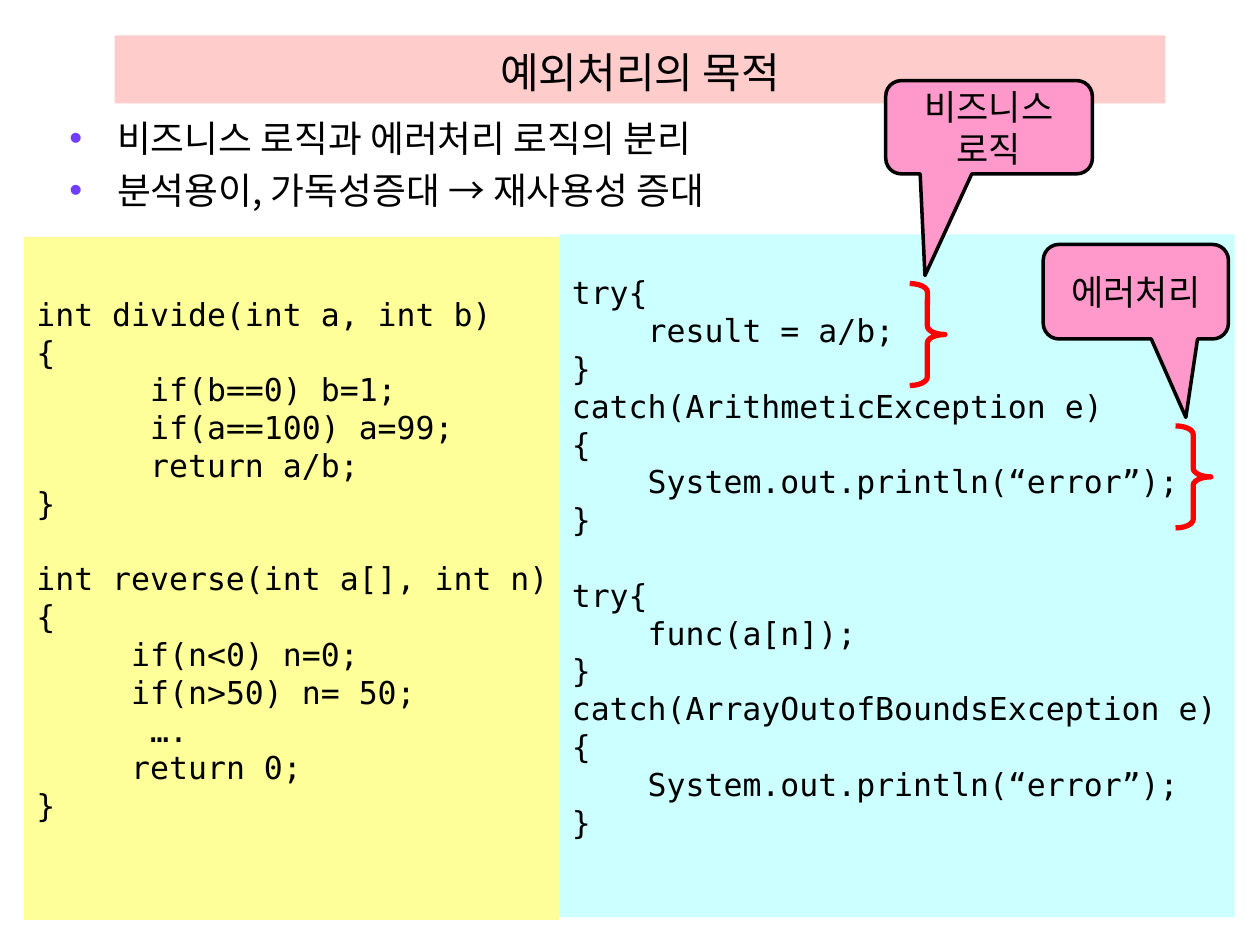
from lxml import etree
from pptx import Presentation
from pptx.dml.color import RGBColor
from pptx.enum.shapes import MSO_SHAPE
from pptx.enum.text import MSO_ANCHOR, MSO_AUTO_SIZE, PP_ALIGN
from pptx.oxml.ns import qn
from pptx.util import Inches, Pt

RECTANGLE = MSO_SHAPE.RECTANGLE
CALLOUT = MSO_SHAPE.ROUNDED_RECTANGULAR_CALLOUT
BRACE = MSO_SHAPE.RIGHT_BRACE
MIDDLE, BOTTOM = MSO_ANCHOR.MIDDLE, MSO_ANCHOR.BOTTOM
LEFT, CENTER = PP_ALIGN.LEFT, PP_ALIGN.CENTER

BLACK = RGBColor(0x00, 0x00, 0x00)
RED = RGBColor(0xFF, 0x00, 0x00)
ROSE = RGBColor(0xFF, 0xCC, 0xCC)
PINK = RGBColor(0xFF, 0x99, 0xCC)
YELLOW = RGBColor(0xFF, 0xFF, 0x99)
CYAN = RGBColor(0xCC, 0xFF, 0xFF)
VIOLET = RGBColor(0x70, 0x3D, 0xFF)

SANS, MONO = "Noto Sans CJK KR", "DejaVu Sans Mono"
CODE_SIZE = 18
CODE_LINE = 21.6   # height of one code line, points
CODE_CHAR = 10.84  # width of one code character, points

# Each block is a list of (indent in characters, code)
DEFENSIVE_CODE = [
    [(0, "int divide(int a, int b)"), (0, "{"), (6, "if(b==0) b=1;"),
     (6, "if(a==100) a=99;"), (6, "return a/b;"), (0, "}")],
    [(0, "int reverse(int a[], int n)"), (0, "{"), (5, "if(n<0) n=0;"),
     (5, "if(n>50) n= 50;"), (6, "…."), (5, "return 0;"), (0, "}")],
]


def try_block(action, exception):
    return [(0, "try{"), (4, action), (0, "}"), (0, f"catch({exception} e)"),
            (0, "{"), (4, "System.out.println(“error”);"), (0, "}")]


EXCEPTION_CODE = [
    try_block("result = a/b;", "ArithmeticException"),
    try_block("func(a[n]);", "ArrayOutofBoundsException"),
]


def place(shape, box):
    shape.left, shape.top, shape.width, shape.height = map(Inches, box)


def add_span(para, text, size, font):
    span = para.add_run()
    span.text = text
    span.font.size = Pt(size)
    span.font.name = font
    span.font.color.rgb = BLACK
    east_asian = etree.SubElement(span._r.get_or_add_rPr(), qn("a:ea"))
    east_asian.set("typeface", SANS if font == SANS else MONO)


def next_para(frame, index):
    return frame.paragraphs[0] if index == 0 else frame.add_paragraph()


def add_plain_shape(page, kind, box, fill=None, line=None, width=0):
    shape = page.shapes.add_shape(kind, *map(Inches, box))
    shape.shadow.inherit = False
    if fill is None:
        shape.fill.background()
    else:
        shape.fill.solid()
        shape.fill.fore_color.rgb = fill
    if line is None:
        shape.line.fill.background()
    else:
        shape.line.color.rgb = line
        shape.line.width = Pt(width)
    return shape


def fill_title(title, box, text):
    place(title, box)
    title.fill.solid()
    title.fill.fore_color.rgb = ROSE
    frame = title.text_frame
    frame.auto_size = MSO_AUTO_SIZE.NONE
    frame.vertical_anchor = BOTTOM
    para = frame.paragraphs[0]
    para.alignment = CENTER
    add_span(para, text, 24, SANS)


def fill_bullets(body, box, lines):
    place(body, box)
    body.text_frame.auto_size = MSO_AUTO_SIZE.NONE
    for index, text in enumerate(lines):
        para = next_para(body.text_frame, index)
        para.space_before = Pt(4.2)
        props = para._p.get_or_add_pPr()
        props.set("marL", str(Inches(0.38)))
        props.set("indent", str(-Inches(0.38)))
        color = etree.SubElement(props, qn("a:buClr"))
        etree.SubElement(color, qn("a:srgbClr")).set("val", str(VIOLET))
        etree.SubElement(props, qn("a:buChar")).set("char", "•")
        add_span(para, text, 21, SANS)


def add_code_panel(page, box, fill, blocks):
    frame = add_plain_shape(page, RECTANGLE, box, fill).text_frame
    frame.word_wrap = False
    frame.vertical_anchor = MIDDLE
    # The code sits half a line above the middle
    frame.margin_bottom = Inches(0.05) + Pt(CODE_LINE)
    index = 0
    for block in blocks:
        for row, (indent, code) in enumerate(block):
            para = next_para(frame, index)
            para.alignment = LEFT
            if row == 0 and index > 0:
                para.space_before = Pt(CODE_LINE)
            if indent:
                props = para._p.get_or_add_pPr()
                props.set("marL", str(Pt(indent * CODE_CHAR)))
                props.set("indent", "0")
            add_span(para, code, CODE_SIZE, MONO)
            index += 1


def add_brace(page, left, top):
    brace = add_plain_shape(page, BRACE, (left, top, 0.28, 0.81), None, RED, 3)
    brace.adjustments[0] = 0.24


def add_callout(page, box, tip, lines):
    """Place a callout whose tip is given as shares of its size from its centre."""
    callout = add_plain_shape(page, CALLOUT, box, PINK, BLACK, 2)
    callout.adjustments[0], callout.adjustments[1] = tip
    frame = callout.text_frame
    frame.word_wrap = True
    frame.vertical_anchor = MIDDLE
    for index, text in enumerate(lines):
        para = next_para(frame, index)
        para.alignment = CENTER
        add_span(para, text, 20, MONO)


def main():
    deck = Presentation()
    deck.slide_width, deck.slide_height = Inches(10), Inches(7.5)
    page = deck.slides.add_slide(deck.slide_layouts[1])

    # Heading and key points
    fill_title(page.shapes.title, (0.91, 0.28, 8.34, 0.54), "예외처리의 목적")
    fill_bullets(page.placeholders[1], (0.45, 0.87, 9.22, 6.28),
                 ["비즈니스 로직과 에러처리 로직의 분리",
                  "분석용이, 가독성증대 → 재사용성 증대"])

    # Code before and after
    add_code_panel(page, (0.19, 1.88, 4.25, 5.42), YELLOW, DEFENSIVE_CODE)
    add_code_panel(page, (4.44, 1.86, 5.36, 5.42), CYAN, EXCEPTION_CODE)

    # Braces and their callouts
    add_brace(page, 7.22, 2.25)
    add_brace(page, 9.33, 3.38)
    add_callout(page, (7.03, 0.64, 1.64, 0.74), (-0.31, 1.59), ["비즈니스", "로직"])
    add_callout(page, (8.28, 1.94, 1.47, 0.75), (0.27, 1.33), ["에러처리"])

    deck.save("out.pptx")


if __name__ == "__main__":
    main()
